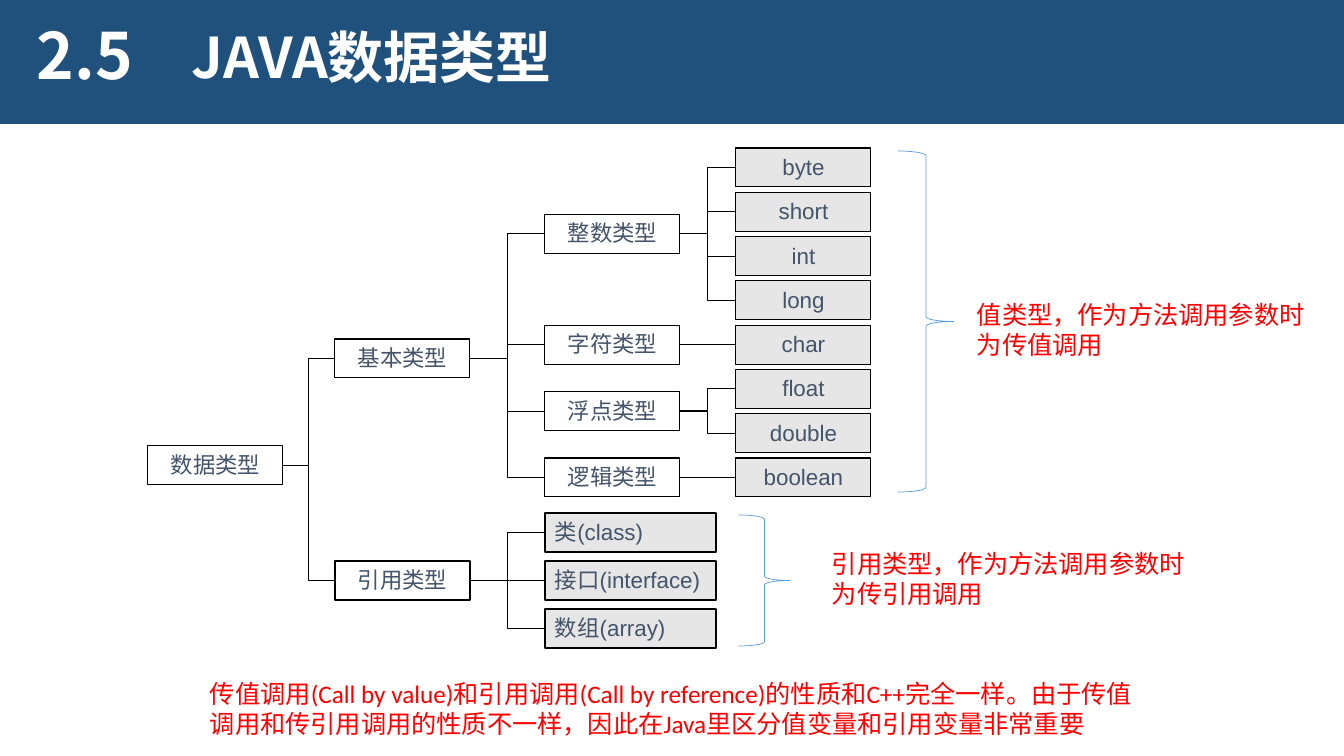
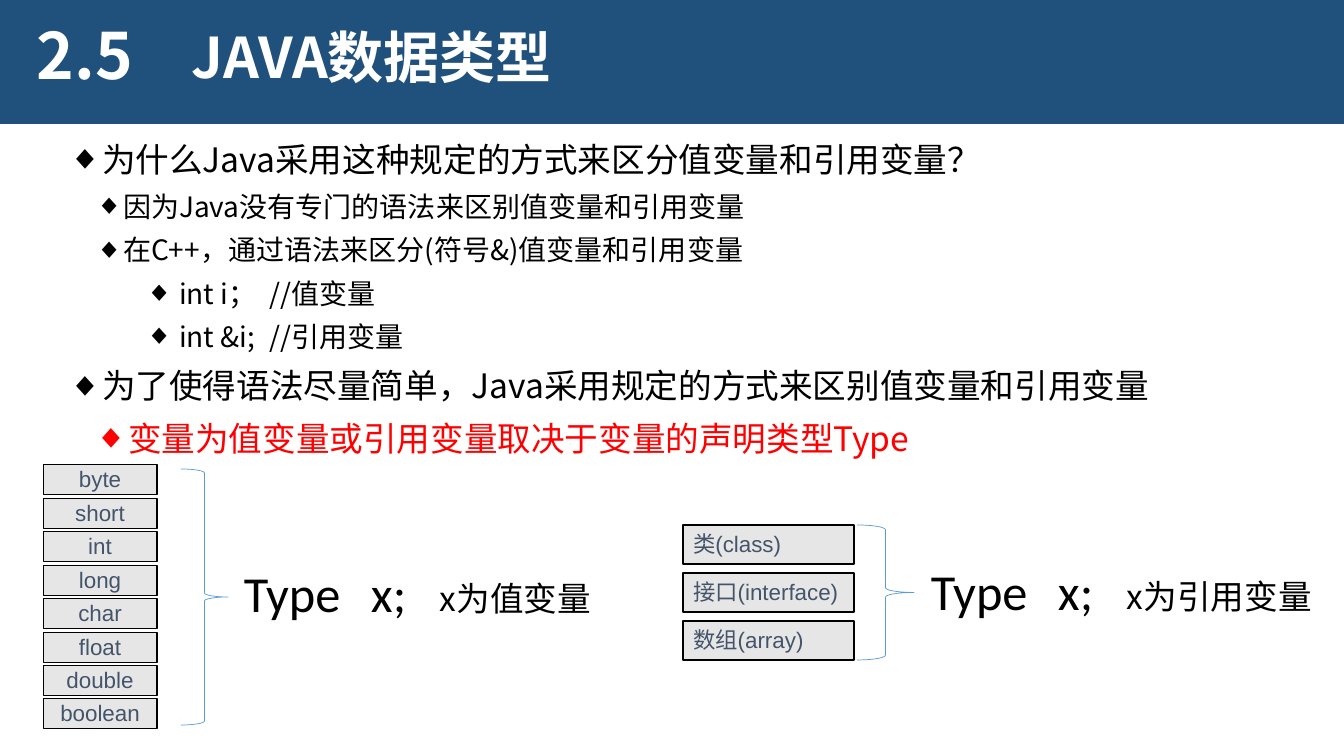
from lxml import etree
from pptx import Presentation
from pptx import util as u
from pptx.dml.color import RGBColor
from pptx.enum import shapes, text
from pptx.oxml.ns import qn

EMU_PER_PX = 914400 / 100.8
NAVY, WHITE, BLACK, RED = "20517C", "FFFFFF", "000000", "FF0000"
SLATE, GREY, BLUE = "44546A", "E7E6E6", "5B9BD5"
CJK, ARIAL, CALIBRI = "Noto Sans CJK SC", "Arial", "Calibri"
LEFT, CENTER = text.PP_ALIGN.LEFT, text.PP_ALIGN.CENTER
TOP, MIDDLE = text.MSO_ANCHOR.TOP, text.MSO_ANCHOR.MIDDLE

VALUE_TYPES = ["byte", "short", "int", "long", "char", "float", "double", "boolean"]
REFERENCE_TYPES = ["类(class)", "接口(interface)", "数组(array)"]
# Category and the range of value types that belong to it
CATEGORIES = [("整数类型", 0, 3), ("字符类型", 4, 4), ("浮点类型", 5, 6), ("逻辑类型", 7, 7)]

# Level, size with line height, colour, text offset, hanging indent, wording
BIG, SMALL = (24, 37.5), (20, 31)
REASONS = [
    (0, BIG, BLACK, 34, 34, "为什么Java采用这种规定的方式来区分值变量和引用变量？"),
    (1, SMALL, BLACK, 55, 28, "因为Java没有专门的语法来区别值变量和引用变量"),
    (1, SMALL, BLACK, 55, 28, "在C++，通过语法来区分(符号&)值变量和引用变量"),
    (2, SMALL, BLACK, 111, 34, "int i；\t//值变量"),
    (2, SMALL, BLACK, 111, 34, "int &i;\t//引用变量"),
    (0, BIG, BLACK, 34, 34, "为了使得语法尽量简单，Java采用规定的方式来区别值变量和引用变量"),
    (1, BIG, RED, 60, 34, "变量为值变量或引用变量取决于变量的声明类型Type"),
]


def px(length):
    return u.Emu(round(length * EMU_PER_PX))


def rgb(colour):
    return RGBColor.from_string(colour)


def place(part, box):
    part.left, part.top, part.width, part.height = map(px, box)


def set_frame(frame, anchor=TOP, inset=(10, 5, 10, 5)):
    frame.word_wrap = True
    frame.auto_size = text.MSO_AUTO_SIZE.NONE
    frame.vertical_anchor = anchor
    (frame.margin_left, frame.margin_top,
     frame.margin_right, frame.margin_bottom) = map(px, inset)


def write(paragraph, wording, size, font, colour, bold=False, align=LEFT, line=None):
    paragraph.alignment = align
    paragraph.space_before = u.Pt(0)
    if line:
        paragraph.line_spacing = u.Pt(line)
    run = paragraph.add_run()
    run.text = wording
    run.font.size, run.font.name, run.font.bold = u.Pt(size), font, bold
    run.font.color.rgb = rgb(colour)
    east_asian = etree.SubElement(run.font._element, qn("a:ea"))
    east_asian.set("typeface", CJK)


def add_label(slide, box, lines, size, font=CALIBRI, colour=BLACK,
              bold=False, line=None, inset=(10, 5, 10, 5)):
    label = slide.shapes.add_textbox(*map(px, box))
    frame = label.text_frame
    set_frame(frame, inset=inset)
    for i, wording in enumerate(lines):
        paragraph = frame.add_paragraph() if i else frame.paragraphs[0]
        write(paragraph, wording, size, font, colour, bold, line=line)


def add_preset(slide, preset, box, fill=None, line=None, weight=0.75):
    preset_shape = slide.shapes.add_shape(preset, *map(px, box))
    preset_shape.shadow.inherit = False
    if fill:
        preset_shape.fill.solid()
        preset_shape.fill.fore_color.rgb = rgb(fill)
    else:
        preset_shape.fill.background()
    if line:
        preset_shape.line.color.rgb = rgb(line)
        preset_shape.line.width = u.Pt(weight)
    else:
        preset_shape.line.fill.background()
    return preset_shape


def add_node(slide, box, wording, fill=None, weight=0.75, align=CENTER, inset=(0, 0, 0, 2)):
    node = add_preset(slide, shapes.MSO_SHAPE.RECTANGLE, box, fill, BLACK, weight)
    set_frame(node.text_frame, MIDDLE, inset)
    write(node.text_frame.paragraphs[0], wording, 16, ARIAL, SLATE, align=align)
    return node


def add_brace(slide, box):
    add_preset(slide, shapes.MSO_SHAPE.RIGHT_BRACE, box, line=BLUE, weight=0.5)


def add_branch(slide, parent, child, weight=0.75):
    """Join the right side of parent to the left side of child."""
    level = abs(parent.top + parent.height / 2 - child.top - child.height / 2) < px(1)
    kind = shapes.MSO_CONNECTOR.STRAIGHT if level else shapes.MSO_CONNECTOR.ELBOW
    branch = slide.shapes.add_connector(kind, 0, 0, 0, 0)
    branch.begin_connect(parent, 3)
    branch.end_connect(child, 1)
    branch.line.color.rgb = rgb(BLACK)
    branch.line.width = u.Pt(weight)
    etree.SubElement(branch._element.spPr, qn("a:effectLst"))


def add_stack(slide, box, labels, node_height, **style):
    """Spread equal nodes over the height of the box."""
    left, top, width, height = box
    step = (height - node_height) / (len(labels) - 1)
    return [add_node(slide, (left, top + i * step, width, node_height), label, GREY, **style)
            for i, label in enumerate(labels)]


def add_reference_stack(slide, box):
    return add_stack(slide, box, REFERENCE_TYPES, 39, weight=1, align=LEFT,
                     inset=(10, 0, 0, 2))


def add_band(prs, slide):
    """Put the title band on the master, behind everything."""
    band = add_preset(slide, shapes.MSO_SHAPE.RECTANGLE, (-3, 0, 1347, 124), NAVY)
    prs.slide_master.shapes.element.insert(2, band.element)


def add_header(slide):
    add_label(slide, (27, 28, 138, 72), ["2.5"], 45.6, CJK, WHITE, True, 46, (10, 0, 0, 0))
    title = slide.shapes.title
    place(title, (182, 34, 933, 64))
    set_frame(title.text_frame, inset=(10, 0, 10, 0))
    write(title.text_frame.paragraphs[0], "JAVA数据类型", 40, CJK, WHITE, True, line=40)


def add_type_tree(slide, left, top):
    width, height = 135, 39
    root = add_node(slide, (left, top + 298, width, height), "数据类型")
    basic = add_node(slide, (left + 187, top + 191, width, height), "基本类型")
    reference = add_node(slide, (left + 187, top + 413, width, height), "引用类型", weight=1)
    for kind in (basic, reference):
        add_branch(slide, root, kind)

    # Value types, each category centred on its members
    tree_height = 349
    leaves = add_stack(slide, (left + 588, top, width, tree_height), VALUE_TYPES, height)
    leaf_step = (tree_height - height) / (len(VALUE_TYPES) - 1)
    for name, first, last in CATEGORIES:
        middle = top + (first + last) / 2 * leaf_step
        category = add_node(slide, (left + 397, middle, width, height), name)
        add_branch(slide, basic, category)
        for leaf in leaves[first:last + 1]:
            add_branch(slide, category, leaf)

    # Reference types
    for leaf in add_reference_stack(slide, (left + 397, top + 365, 171, 135)):
        add_branch(slide, reference, leaf, 1)

    add_brace(slide, (left + 750, top + 3, 56, 341))
    add_brace(slide, (left + 591, top + 367, 51, 131))


def add_reasons(slide, box):
    body = slide.placeholders[1]
    place(body, box)
    frame = body.text_frame
    set_frame(frame, inset=(10, 0, 10, 0))
    for i, (level, (size, line), colour, offset, hang, wording) in enumerate(REASONS):
        paragraph = frame.add_paragraph() if i else frame.paragraphs[0]
        paragraph.level = level
        write(paragraph, wording, size, CJK, colour, line=line)
        properties = paragraph._p.get_or_add_pPr()
        properties.set("marL", str(px(offset)))
        properties.set("indent", str(-px(hang)))
        etree.SubElement(properties, qn("a:buChar")).set("char", "◆")


def add_declaration(slide, left, top, meaning, meaning_width):
    """Type x; followed by what x then is."""
    add_label(slide, (left, top, 130, 72), ["Type"], 36)
    add_label(slide, (left + 127, top, 60, 72), ["x;"], 36)
    add_label(slide, (left + 196, top + 21, meaning_width, 84), [meaning], 24, CJK,
              line=28.5, inset=(10, 0, 10, 0))


def build_tree_slide(slide):
    add_header(slide)
    add_type_tree(slide, 148, 148)
    add_label(slide, (967, 294, 365, 72),
              ["值类型，作为方法调用参数时", "为传值调用"], 18, colour=RED)
    add_label(slide, (822, 543, 377, 72),
              ["引用类型，作为方法调用参数时", "为传引用调用"], 18, colour=RED)
    add_label(slide, (200, 673, 960, 72),
              ["传值调用(Call by value)和引用调用(Call by reference)的性质和C++完全一样。"
               "由于传值调用和传引用调用的性质不一样，因此在Java里区分值变量和引用变量非常重要"],
              18, colour=RED)


def build_reason_slide(slide):
    add_header(slide)
    add_reasons(slide, (58, 127, 1154, 332))
    # Value variables
    add_stack(slide, (43, 465, 114, 264), VALUE_TYPES, 30)
    add_brace(slide, (181, 469, 47, 256))
    add_declaration(slide, 234, 557, "x为值变量", 173)
    # Reference variables
    add_reference_stack(slide, (683, 525, 171, 135))
    add_brace(slide, (857, 525, 57, 135))
    add_declaration(slide, 921, 555, "x为引用变量", 207)


def main():
    prs = Presentation()
    prs.slide_width, prs.slide_height = px(1344), px(756)
    tree_slide = prs.slides.add_slide(prs.slide_layouts[5])
    add_band(prs, tree_slide)
    build_tree_slide(tree_slide)
    build_reason_slide(prs.slides.add_slide(prs.slide_layouts[1]))
    prs.save("out.pptx")


if __name__ == "__main__":
    main()
